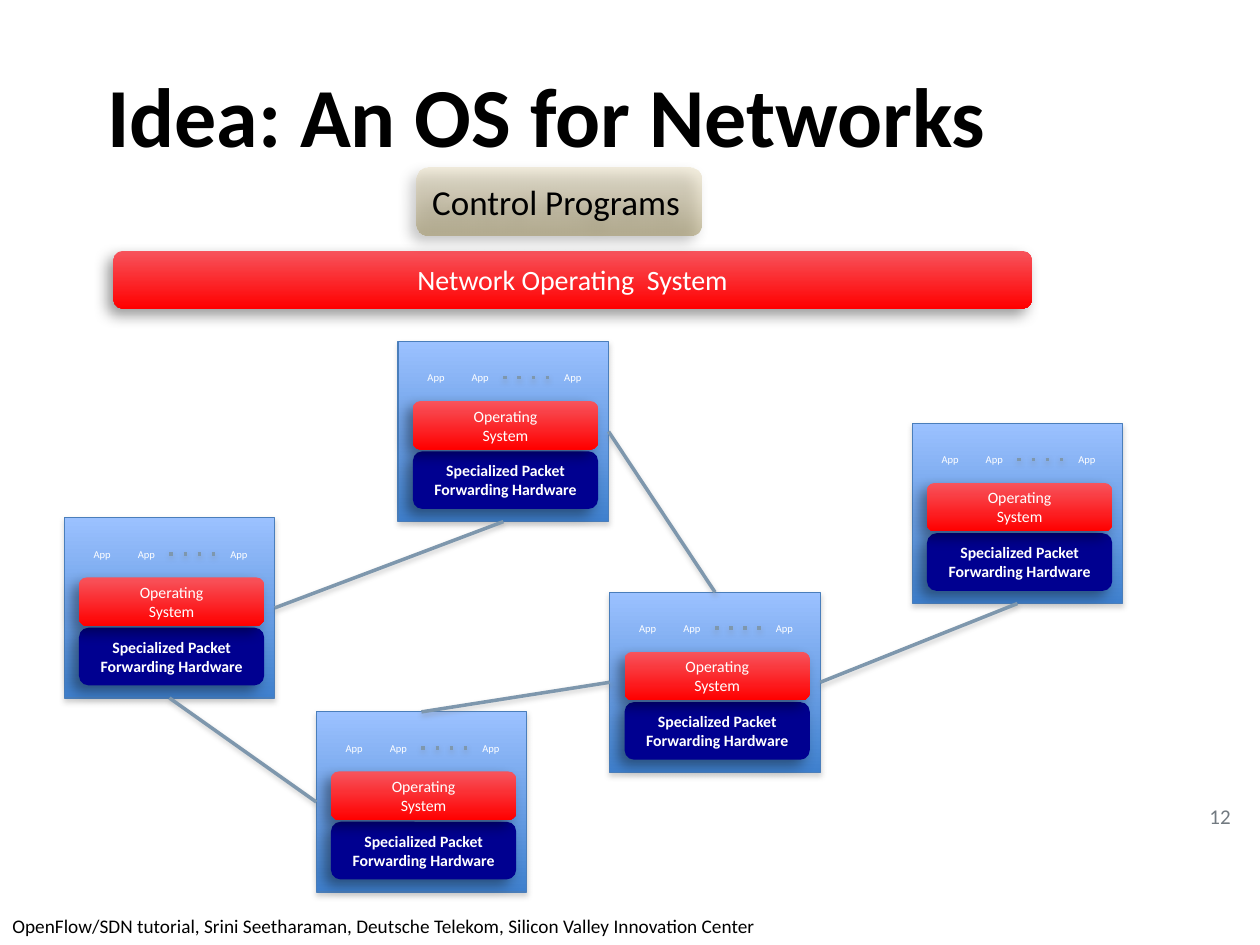
from collections import namedtuple

from lxml.etree import SubElement
from pptx import Presentation
from pptx.dml.color import RGBColor
from pptx.enum.dml import MSO_LINE
from pptx.enum.shapes import MSO_CONNECTOR, MSO_SHAPE
from pptx.enum.text import MSO_ANCHOR, MSO_AUTO_SIZE, PP_ALIGN
from pptx.oxml.ns import qn
from pptx.util import Inches, Pt

COLORS = {
    "text": "000000", "number": "727A81", "light": "FFFFFF",
    "sky": "9BC1FF", "blue": "3F80CD", "edge": "4A7EBB", "navy": "000090",
    "rose": "F7545C", "red": "FF0000", "cream": "E6DAB8", "khaki": "A49768",
    "link": "7E97AD", "black": "000000", "gray": "808080",
}
FONT = "Calibri"
TOP, LEFT, BOTTOM, RIGHT = range(4)
BOX_SHADOW = ("gray", 35, 3.1, 1.8, 90)
LINK_SHADOW = ("gray", 38, 3.1, 1.6, 90)
LAYER_SHADOW = ("black", 40, 8, 5, 135)

NODE_W, NODE_H = 1.67, 1.43
NODES = {
    "west": (0.51, 4.11), "north": (3.16, 2.71), "east": (7.24, 3.36),
    "south": (2.51, 5.65), "center": (4.84, 4.7),
}
LINKS = [
    ("west", RIGHT, "north", BOTTOM),
    ("north", RIGHT, "center", TOP),
    ("south", TOP, "center", LEFT),
    ("west", BOTTOM, "south", LEFT),
    ("center", RIGHT, "east", BOTTOM),
]


class Box(namedtuple("Box", "left top width height")):
    def inner(self, x, y, w, h):
        return Box(self.left + x * self.width, self.top + y * self.height,
                   w * self.width, h * self.height)

    def emu(self):
        return [Inches(length) for length in self]


def rgb(color):
    return RGBColor.from_string(COLORS[color])


def add_shadow(item, color, alpha, blur, distance, angle):
    effects = SubElement(item._element.spPr, qn("a:effectLst"))
    outer = SubElement(effects, qn("a:outerShdw"), blurRad=str(Pt(blur)),
                       dist=str(Pt(distance)), dir=str(angle * 60000),
                       algn="ctr", rotWithShape="0")
    tint = SubElement(outer, qn("a:srgbClr"), val=COLORS[color])
    SubElement(tint, qn("a:alpha"), val=str(alpha * 1000))


def paint(panel, colors, alphas=()):
    if len(colors) == 1:
        panel.fill.solid()
        panel.fill.fore_color.rgb = rgb(colors[0])
        return
    panel.fill.gradient()
    panel.fill.gradient_angle = 270
    for stop, color, place in zip(panel.fill.gradient_stops, colors, (0, 1)):
        stop.color.rgb = rgb(color)
        stop.position = place
    tints = panel._element.spPr.iter(qn("a:srgbClr"))
    for tint, alpha in zip(list(tints), alphas):
        SubElement(tint, qn("a:alpha"), val=str(alpha * 1000))


def write(frame, lines, size, color, align=PP_ALIGN.LEFT, bold=False,
          anchor=MSO_ANCHOR.MIDDLE):
    frame.word_wrap = True
    frame.vertical_anchor = anchor
    for index, line in enumerate(lines):
        paragraph = frame.add_paragraph() if index else frame.paragraphs[0]
        paragraph.alignment = align
        run = paragraph.add_run()
        run.text = line
        run.font.name = FONT
        run.font.size = Pt(size)
        run.font.bold = bold
        run.font.color.rgb = rgb(color)


def add_label(shapes, box, line, size, color, **style):
    label = shapes.add_textbox(*box.emu())
    write(label.text_frame, [line], size, color, **style)
    return label


def add_layer(shapes, box, colors, lines, size, color="light",
              align=PP_ALIGN.CENTER, bold=False, alphas=()):
    layer = shapes.add_shape(MSO_SHAPE.ROUNDED_RECTANGLE, *box.emu())
    paint(layer, colors, alphas)
    layer.line.fill.background()
    add_shadow(layer, *LAYER_SHADOW)
    write(layer.text_frame, lines, size, color, align, bold)


def add_line(shapes, start, end):
    line = shapes.add_connector(MSO_CONNECTOR.STRAIGHT,
                                *[Inches(length) for length in start + end])
    line.line.color.rgb = rgb("link")
    line.line.width = Pt(2)
    return line


def add_apps(shapes, box):
    apps = shapes.add_group_shape().shapes
    for x in (0.08, 0.29, 0.73):
        app = add_label(apps, box.inner(x, 0.08, 0.2, 0.24), "App", 6, "light",
                        align=PP_ALIGN.CENTER)
        frame = app.text_frame
        frame.margin_left = frame.margin_right = 0
        frame.margin_top = frame.margin_bottom = 0
    gap = box.inner(0.5, 0.2, 0.22, 0)
    dots = add_line(apps, (gap.left, gap.top), (gap.left + gap.width, gap.top))
    dots.line.dash_style = MSO_LINE.ROUND_DOT
    dots._element.spPr.find(".//" + qn("a:prstDash")).set("val", "dot")
    add_shadow(dots, *LINK_SHADOW)


def add_node(shapes, box):
    node = shapes.add_shape(MSO_SHAPE.RECTANGLE, *box.emu())
    paint(node, ["sky", "blue"])
    node.line.color.rgb = rgb("edge")
    node.line.width = Pt(0.75)
    add_shadow(node, *BOX_SHADOW)
    add_layer(shapes, box.inner(0.07, 0.61, 0.88, 0.32), ["navy"],
              ["Specialized Packet Forwarding Hardware"], 9, bold=True)
    add_layer(shapes, box.inner(0.07, 0.33, 0.88, 0.27), ["rose", "red"],
              ["Operating", "System"], 9)
    add_apps(shapes, box)
    return node


def add_network(shapes):
    nodes = {name: add_node(shapes, Box(*corner, NODE_W, NODE_H))
             for name, corner in NODES.items()}
    for source, source_side, target, target_side in LINKS:
        link = add_line(shapes, NODES[source], NODES[target])
        link.begin_connect(nodes[source], source_side)
        link.end_connect(nodes[target], target_side)
        add_shadow(link, *LINK_SHADOW)


def add_control(shapes, box):
    add_layer(shapes, box.inner(0, 0.59, 1, 0.41), ["rose", "red"],
              ["Network Operating  System"], 16)
    add_layer(shapes, box.inner(0.33, 0, 0.31, 0.48), ["cream", "khaki"],
              ["Control Programs"], 20, "text", PP_ALIGN.LEFT, alphas=(45, 60))


def add_title(title, box):
    title.left, title.top, title.width, title.height = box.emu()
    write(title.text_frame, ["Idea: An OS for Networks"], 48, "text", bold=True)
    title.text_frame.auto_size = MSO_AUTO_SIZE.NONE
    title.text_frame.paragraphs[0].line_spacing = 0.9


def add_footer(shapes, credit_box, number_box):
    add_label(shapes, credit_box,
              "OpenFlow/SDN tutorial, Srini Seetharaman, Deutsche Telekom, "
              "Silicon Valley Innovation Center", 11, "text",
              anchor=MSO_ANCHOR.TOP)
    add_label(shapes, number_box, "12", 12, "number")


def main():
    deck = Presentation()
    deck.slide_width, deck.slide_height = Inches(10), Inches(7.5)
    slide = deck.slides.add_slide(deck.slide_layouts[5])
    add_title(slide.shapes.title, Box(0.75, 0.33, 7.92, 1.25))
    add_network(slide.shapes)
    add_control(slide.shapes, Box(0.9, 1.33, 7.29, 1.12))
    add_footer(slide.shapes, Box(0, 7.21, 7.67, 0.29), Box(9.5, 6.28, 0.42, 0.4))
    deck.save("out.pptx")


if __name__ == "__main__":
    main()
